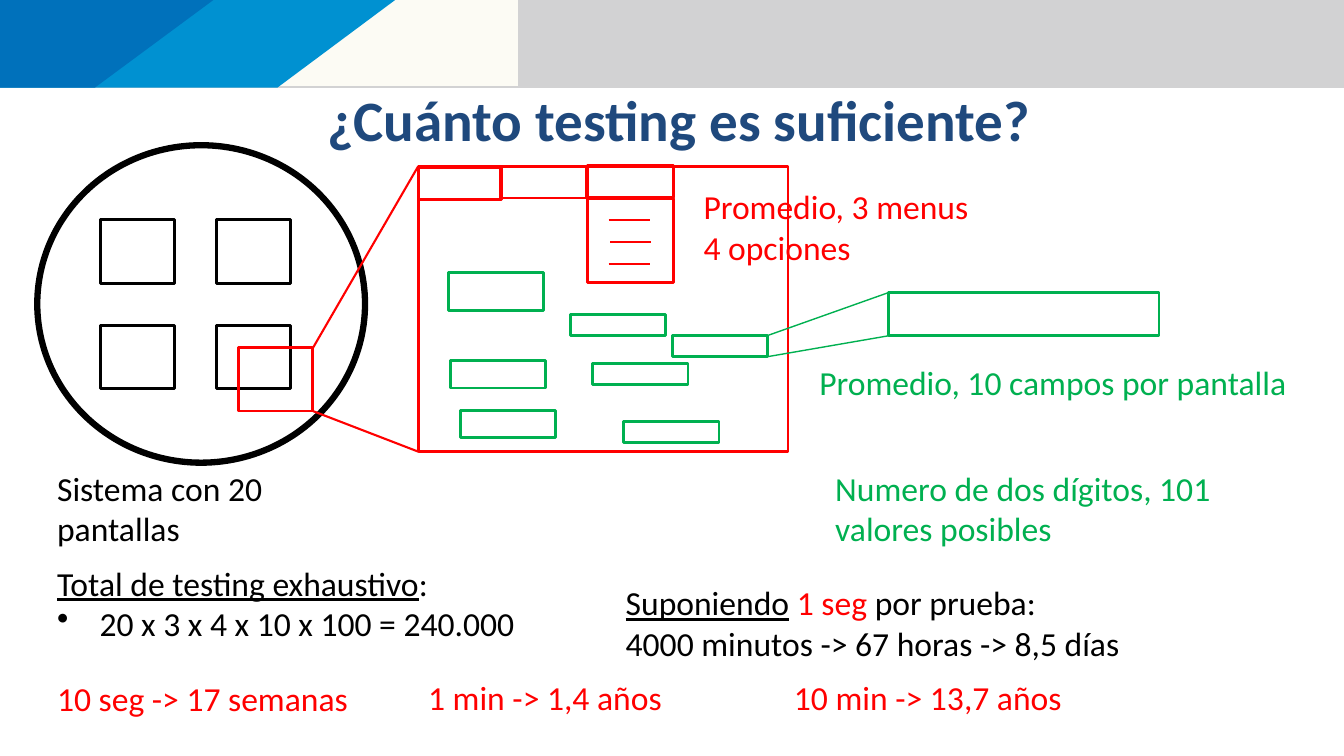
import pptx
import pptx.dml.color
import pptx.enum.shapes
import pptx.enum.text
import pptx.oxml.ns
import pptx.util
from lxml import etree

Cm = pptx.util.Cm
Pt = pptx.util.Pt
RGBColor = pptx.dml.color.RGBColor
Preset = pptx.enum.shapes.MSO_SHAPE

BLACK = RGBColor(0x00, 0x00, 0x00)
RED = RGBColor(0xFF, 0x00, 0x00)
GREEN = RGBColor(0x00, 0xB0, 0x50)
NAVY = RGBColor(0x1F, 0x49, 0x7D)
GREY = RGBColor(0xD2, 0xD2, 0xD3)
CREAM = RGBColor(0xFC, 0xFB, 0xF4)
LIGHT_BLUE = RGBColor(0x00, 0x91, 0xD1)
DARK_BLUE = RGBColor(0x00, 0x71, 0xBB)


def add_run(paragraph, text, color=BLACK, size=24, bold=False, underline=False):
    run = paragraph.add_run()
    run.text = text
    font = run.font
    font.name = "Calibri"
    font.size = Pt(size)
    font.bold = bold
    font.underline = underline
    font.color.rgb = color


def add_bullet(paragraph, indent):
    properties = paragraph._p.get_or_add_pPr()
    properties.set("marL", str(indent))
    properties.set("indent", str(-indent))
    bullet = etree.SubElement(properties, pptx.oxml.ns.qn("a:buChar"))
    bullet.set("char", "•")


class SlideBuilder:
    outline_width = 2

    def __init__(self, slide):
        self.slide = slide
        self.shapes = slide.shapes

    def title(self, text, left, top, width, height):
        title = self.shapes.title
        title.left, title.top = Cm(left), Cm(top)
        title.width, title.height = Cm(width), Cm(height)
        frame = title.text_frame
        frame.margin_left = frame.margin_right = 0
        frame.margin_top = frame.margin_bottom = 0
        frame.vertical_anchor = pptx.enum.text.MSO_ANCHOR.TOP
        frame.auto_size = pptx.enum.text.MSO_AUTO_SIZE.NONE
        paragraph = frame.paragraphs[0]
        paragraph.alignment = pptx.enum.text.PP_ALIGN.CENTER
        add_run(paragraph, text, color=NAVY, size=40.8, bold=True)

    def band(self, points, color):
        corners = [(Cm(x), Cm(y)) for x, y in points]
        builder = self.shapes.build_freeform(*corners[0])
        builder.add_line_segments(corners[1:], close=True)
        shape = builder.convert_to_shape()
        shape.shadow.inherit = False
        shape.fill.solid()
        shape.fill.fore_color.rgb = color
        shape.line.fill.background()

    def outline(self, left, top, width, height, color,
                preset=Preset.RECTANGLE, line_width=outline_width):
        shape = self.shapes.add_shape(
            preset, Cm(left), Cm(top), Cm(width), Cm(height))
        shape.shadow.inherit = False
        shape.fill.background()
        shape.line.color.rgb = color
        shape.line.width = Pt(line_width)

    def line(self, start, end, color, line_width=1.5):
        connector = self.shapes.add_connector(
            pptx.enum.shapes.MSO_CONNECTOR.STRAIGHT,
            Cm(start[0]), Cm(start[1]), Cm(end[0]), Cm(end[1]))
        connector.line.color.rgb = color
        connector.line.width = Pt(line_width)
        etree.SubElement(connector._element.spPr, pptx.oxml.ns.qn("a:effectLst"))

    def text(self, left, top, width, height, *lines, wrap=True):
        box = self.shapes.add_textbox(Cm(left), Cm(top), Cm(width), Cm(height))
        frame = box.text_frame
        frame.word_wrap = wrap
        frame.auto_size = pptx.enum.text.MSO_AUTO_SIZE.SHAPE_TO_FIT_TEXT
        for index, runs in enumerate(lines):
            paragraph = frame.add_paragraph() if index else frame.paragraphs[0]
            for text, style in runs:
                add_run(paragraph, text, **style)
        return frame


def draw_header(builder):
    builder.band([(0, 0), (33.87, 0), (33.87, 2.21), (0, 2.21)], GREY)
    builder.band([(0, 0), (13.06, 0), (13.06, 2.16), (0, 2.16)], CREAM)
    builder.band([(0, 0), (9.96, 0), (6.99, 2.21), (0, 2.21)], LIGHT_BLUE)
    builder.band([(0, 0), (5.38, 0), (2.39, 2.21), (0, 2.21)], DARK_BLUE)
    builder.title("¿Cuánto testing es suficiente? ", 0.61, 2.13, 33.32, 1.19)


def draw_system(builder):
    builder.outline(0.94, 3.66, 8.26, 8, BLACK, Preset.OVAL, 4.5)
    for top in (5.54, 8.2):
        for left in (2.54, 5.46):
            builder.outline(left, top, 1.86, 1.6, BLACK)
    builder.outline(6.02, 8.76, 1.86, 1.6, RED)


def draw_window(builder):
    builder.outline(10.54, 4.19, 9.32, 7.19, RED)
    builder.line((7.89, 8.76), (10.54, 4.19), RED)
    builder.line((7.89, 10.36), (10.54, 11.38), RED)
    for left, top, width in ((10.54, 4.22, 2.11), (12.62, 4.19, 2.16),
                             (14.81, 4.17, 2.16)):
        builder.outline(left, top, width, 0.8, RED)
    builder.outline(14.81, 5, 2.16, 2.13, RED)
    for left, top in ((15.34, 5.54), (15.38, 6.1), (15.34, 6.66)):
        builder.line((left, top), (left + 1.03, top), RED)


def draw_fields(builder):
    for left, top, height in (
            (11.3, 6.86, 0.97), (11.35, 9.09, 0.69), (14.38, 7.92, 0.53),
            (14.94, 9.17, 0.53), (11.61, 10.34, 0.69), (15.72, 10.62, 0.53),
            (16.94, 8.46, 0.53)):
        builder.outline(left, top, 2.4, height, GREEN)
    builder.outline(22.4, 7.37, 6.81, 1.09, GREEN)
    builder.line((19.33, 8.46), (22.4, 7.37), GREEN, 1)
    builder.line((19.33, 8.99), (22.4, 8.46), GREEN, 1)


def write_texts(builder):
    black, red, green = ({"color": color} for color in (BLACK, RED, GREEN))
    underlined = {"underline": True}
    builder.text(1.19, 11.66, 6.71, 2.31, [("Sistema con 20 pantallas", black)])
    builder.text(17.48, 4.57, 9.86, 2.31,
                 [("Promedio, 3 menus", red)], [("4 opciones", red)])
    builder.text(20.4, 8.99, 12.27, 1.27,
                 [("Promedio, 10 campos por pantalla", green)])
    builder.text(20.8, 11.66, 12.27, 2.31,
                 [("Numero de dos dígitos, 101 valores posibles", green)])
    total = builder.text(
        1.19, 14.05, 25.76, 2.31,
        [("Total de testing exhaustivo", underlined), (":", black)],
        [("20 x 3 x 4 x 10 x 100 = 240.000", black)])
    add_bullet(total.paragraphs[1], Cm(1.07))
    builder.text(
        15.52, 14.55, 13.23, 2.31,
        [("Suponiendo", underlined), (" ", black), ("1 seg ", red),
         ("por prueba:", black)],
        [("4000 minutos -> 67 horas -> 8,5 días", black)], wrap=False)
    for left, top, width, estimate in (
            (1.19, 16.97, 7.9, "10 seg -> 17 semanas"),
            (10.54, 16.94, 6.45, "1 min -> 1,4 años"),
            (19.76, 16.94, 7.32, "10 min -> 13,7 años")):
        builder.text(left, top, width, 1.27, [(estimate, red)], wrap=False)


def main():
    presentation = pptx.Presentation()
    presentation.slide_width = Cm(33.87)
    presentation.slide_height = Cm(19.05)
    builder = SlideBuilder(
        presentation.slides.add_slide(presentation.slide_layouts[5]))
    draw_header(builder)
    draw_system(builder)
    draw_window(builder)
    draw_fields(builder)
    write_texts(builder)
    presentation.save("out.pptx")


if __name__ == "__main__":
    main()
